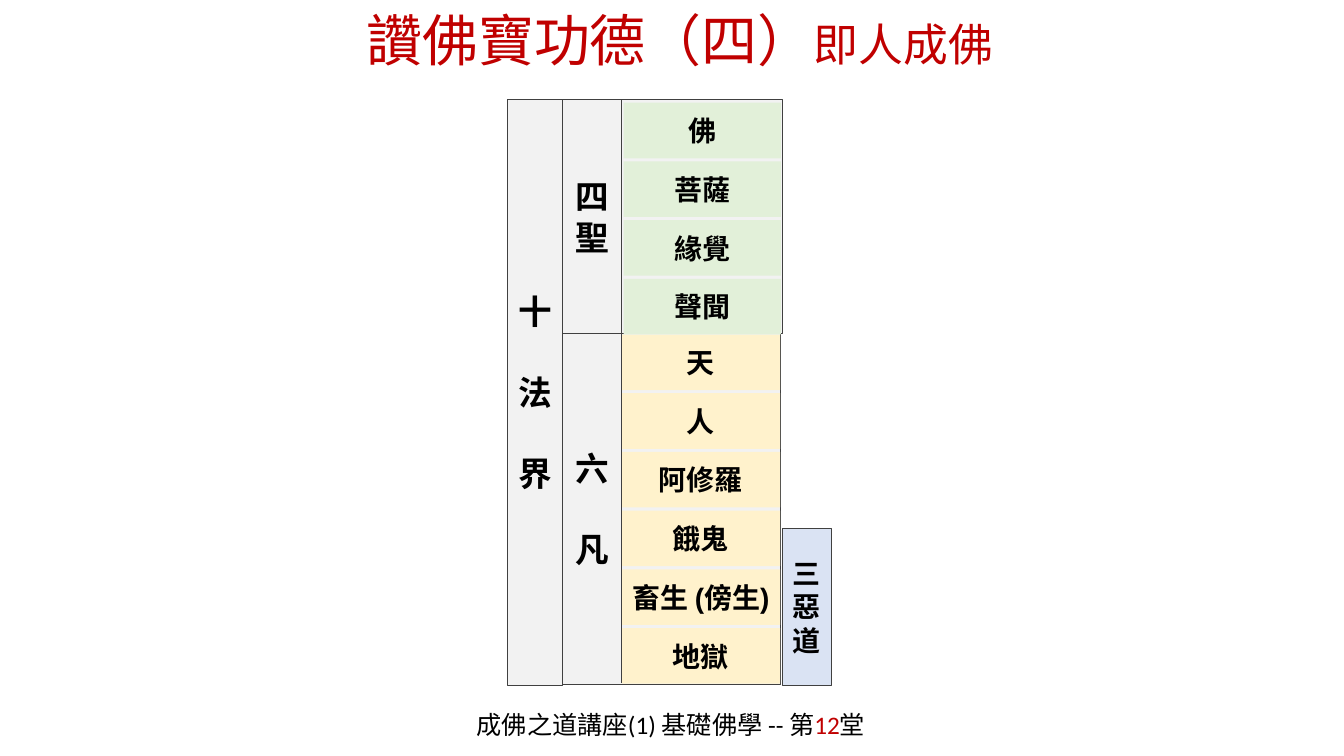
from lxml import etree
from pptx import Presentation
from pptx.dml.color import RGBColor
from pptx.enum.shapes import MSO_CONNECTOR, MSO_SHAPE
from pptx.enum.text import MSO_ANCHOR, MSO_AUTO_SIZE, PP_ALIGN
from pptx.oxml import parse_xml
from pptx.oxml.ns import qn
from pptx.util import Cm, Pt

RECTANGLE = MSO_SHAPE.RECTANGLE
STRAIGHT = MSO_CONNECTOR.STRAIGHT
MIDDLE = MSO_ANCHOR.MIDDLE
NO_FIT = MSO_AUTO_SIZE.NONE
CENTER, LEFT = PP_ALIGN.CENTER, PP_ALIGN.LEFT

BLACK, RED, BORDER = "000000", "C00000", "404040"
GREY, GREEN, YELLOW, BLUE = "F2F2F2", "E2F0D9", "FFF2CC", "DAE3F3"
TITLE_ONLY = 5
ROW_STEP = 1.48
TEXT_SHADOW = (
    '<a:effectLst xmlns:a="http://schemas.openxmlformats.org/drawingml/2006/main">'
    '<a:outerShdw blurRad="38100" dist="38100" dir="2700000" algn="tl">'
    '<a:srgbClr val="000000"><a:alpha val="43000"/></a:srgbClr>'
    '</a:outerShdw></a:effectLst>'
)


def color(value):
    """Turn a hex string into a colour."""
    return RGBColor.from_string(value)


def add_text(para, text, size=20, font="Calibri", ink=BLACK, bold=False, shadow=False):
    """Append a formatted span to a paragraph."""
    span = para.add_run()
    span.text = text
    span.font.size = Pt(size)
    span.font.bold = bold
    span.font.name = font
    span.font.color.rgb = color(ink)
    if shadow:
        fill = span.font._element.find(qn("a:solidFill"))
        fill.addnext(parse_xml(TEXT_SHADOW))


def add_box(page, place, fill, border=None):
    """Draw a filled rectangle and return it."""
    box = page.shapes.add_shape(RECTANGLE, *map(Cm, place))
    box.shadow.inherit = False
    box.fill.solid()
    box.fill.fore_color.rgb = color(fill)
    if border:
        box.line.color.rgb = color(border)
        box.line.width = Pt(0.75)
    else:
        box.line.fill.background()
    box.text_frame.word_wrap = True
    box.text_frame.vertical_anchor = MIDDLE
    return box


def add_column(page, place, characters, fill=GREY, size=24, gap=0, inset=0, align=CENTER):
    """Draw a bordered box with one character to a line."""
    frame = add_box(page, place, fill, BORDER).text_frame
    frame.margin_left, frame.margin_right = Cm(inset), Cm(0)
    for index, character in enumerate(characters):
        para = frame.paragraphs[0] if index == 0 else frame.add_paragraph()
        para.alignment = align
        para.space_before = Pt(gap if index else 0)
        add_text(para, character, size=size, bold=True)


def add_realms(page, left, top, width, fill, realms):
    """Stack one cell for each realm and its font."""
    for index, (realm, font) in enumerate(realms):
        box = add_box(page, (left, top + index * ROW_STEP, width, 1.4), fill)
        para = box.text_frame.paragraphs[0]
        para.alignment = CENTER
        add_text(para, realm, font=font, bold=True)


def add_divider(page, x, top, bottom):
    """Draw a thin vertical line."""
    line = page.shapes.add_connector(STRAIGHT, Cm(x), Cm(top), Cm(x), Cm(bottom))
    line.line.color.rgb = color(BORDER)
    line.line.width = Pt(0.5)
    etree.SubElement(line._element.spPr, qn("a:effectLst"))


def set_title(page):
    """Place and fill the title."""
    title = page.shapes.title
    title.left, title.top, title.width, title.height = map(Cm, (0.89, 0, 32.05, 2.87))
    frame = title.text_frame
    frame.auto_size = NO_FIT
    frame.vertical_anchor = MIDDLE
    frame.word_wrap = True
    para = frame.paragraphs[0]
    para.alignment = CENTER
    para.line_spacing = Pt(22)
    para._p.get_or_add_pPr().set("indent", str(Cm(0.43)))
    add_text(para, "讚佛寶功德（四）", size=40, ink=RED, shadow=True)
    add_text(para, "即人成佛", size=32, ink=RED, shadow=True)


def add_footer(page):
    """Add the lecture line at the bottom."""
    frame = page.shapes.add_textbox(*map(Cm, (11.73, 17.7, 10.36, 1.12))).text_frame
    frame.word_wrap = True
    frame.vertical_anchor = MIDDLE
    para = frame.paragraphs[0]
    para.alignment = CENTER
    for text, ink in (("成佛之道講座(1) 基礎佛學 -- 第", BLACK), ("12", RED), ("堂", BLACK)):
        add_text(para, text, size=18, ink=ink, shadow=True)


def main():
    """Build the slide and save it."""
    deck = Presentation()
    deck.slide_width, deck.slide_height = Cm(33.87), Cm(19.05)
    page = deck.slides.add_slide(deck.slide_layouts[TITLE_ONLY])
    add_footer(page)
    set_title(page)
    add_column(page, (14.07, 8.38, 5.61, 8.86), "六凡", gap=29, inset=0.43, align=LEFT)
    add_column(page, (14.07, 2.51, 5.64, 5.89), "四聖", inset=0.43, align=LEFT)
    add_realms(page, 15.67, 8.43, 3.99, YELLOW, [
        ("天", "Open Sans"), ("人", "Open Sans"), ("阿修羅", "Open Sans"),
        ("餓鬼", "Open Sans"), ("畜生 (傍生)", "Arial"), ("地獄", "Arial")])
    add_column(page, (19.71, 13.31, 1.24, 3.96), "三惡道", fill=BLUE, size=20)
    add_column(page, (12.78, 2.51, 1.4, 14.76), "十法界", gap=29)
    add_realms(page, 15.72, 2.59, 3.96, GREEN, [
        (realm, "Arial") for realm in ("佛", "菩薩", "緣覺", "聲聞")])
    add_divider(page, 15.67, 2.51, 17.22)
    deck.save("out.pptx")


if __name__ == "__main__":
    main()
